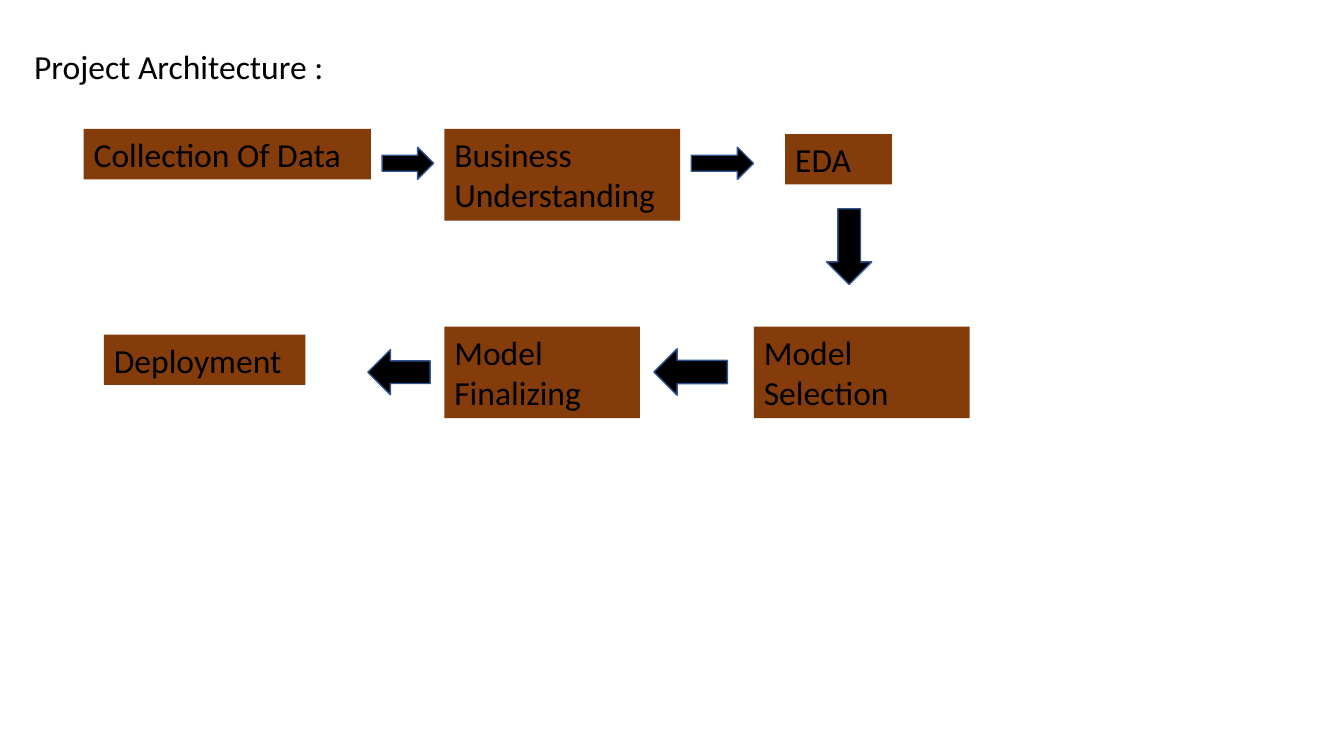
import pptx
import pptx.dml.color
import pptx.enum.shapes
import pptx.enum.text
import pptx.util
from dataclasses import dataclass

Cm = pptx.util.Cm
RGB = pptx.dml.color.RGBColor
SHAPE = pptx.enum.shapes.MSO_SHAPE


@dataclass
class Theme:
    font: str = "Calibri"
    size: float = 24
    line_width: float = 1
    text: str = "000000"
    box: str = "843C0B"
    arrow: str = "000000"
    arrow_line: str = "325491"


class Deck:
    def __init__(self, theme):
        self.theme = theme
        self.prs = pptx.Presentation()
        self.prs.slide_width, self.prs.slide_height = Cm(33.87), Cm(19.05)
        self.slide = self.prs.slides.add_slide(self.prs.slide_layouts[6])

    def set_text(self, sp, text):
        tf = sp.text_frame
        frame_format = {
            "word_wrap": True,
            "auto_size": pptx.enum.text.MSO_AUTO_SIZE.SHAPE_TO_FIT_TEXT,
            "vertical_anchor": pptx.enum.text.MSO_ANCHOR.TOP,
            "text": text,
        }
        for name, value in frame_format.items():
            setattr(tf, name, value)
        font_format = {"name": self.theme.font, "size": pptx.util.Pt(self.theme.size)}
        for p in tf.paragraphs:
            p.alignment = pptx.enum.text.PP_ALIGN.LEFT
            for r in p.runs:
                for name, value in font_format.items():
                    setattr(r.font, name, value)
                r.font.color.rgb = RGB.from_string(self.theme.text)

    def shape(self, kind, at, fill):
        sp = self.slide.shapes.add_shape(kind, *map(Cm, at))
        sp.shadow.inherit = False
        sp.fill.solid()
        sp.fill.fore_color.rgb = RGB.from_string(fill)
        return sp

    def title(self, text, *at):
        self.set_text(self.slide.shapes.add_textbox(*map(Cm, at)), text)

    def box(self, text, *at):
        sp = self.shape(SHAPE.RECTANGLE, at, self.theme.box)
        sp.line.fill.background()
        self.set_text(sp, text)

    def arrow(self, kind, *at):
        sp = self.shape(kind, at, self.theme.arrow)
        sp.line.color.rgb = RGB.from_string(self.theme.arrow_line)
        sp.line.width = pptx.util.Pt(self.theme.line_width)


def main():
    deck = Deck(Theme())
    one_line, two_lines = 1.27, 2.31
    top_row, bottom_row = 3.25, 8.23
    middle_column = 11.2

    deck.title("Project Architecture :", 0.61, 1.04, 8.74, one_line)

    # Top row, left to right
    deck.box("Collection Of Data", 2.11, top_row, 7.24, one_line)
    deck.arrow(SHAPE.RIGHT_ARROW, 9.63, 3.71, 1.3, 0.81)
    deck.box("Business Understanding", middle_column, top_row, 5.94, two_lines)
    deck.arrow(SHAPE.RIGHT_ARROW, 17.42, 3.71, 1.57, 0.81)
    deck.box("EDA", 19.79, 3.38, 2.69, one_line)

    # Turn down to the second row
    deck.arrow(SHAPE.DOWN_ARROW, 20.83, 5.26, 1.14, 1.91)

    # Bottom row, right to left
    deck.box("Model Selection", 19, bottom_row, 5.44, two_lines)
    deck.arrow(SHAPE.LEFT_ARROW, 16.48, 8.79, 1.85, 1.17)
    deck.box("Model\nFinalizing", middle_column, bottom_row, 4.93, two_lines)
    deck.arrow(SHAPE.LEFT_ARROW, 9.27, 8.81, 1.57, 1.14)
    deck.box("Deployment", 2.62, 8.43, 5.08, one_line)

    deck.prs.save("out.pptx")


if __name__ == "__main__":
    main()
